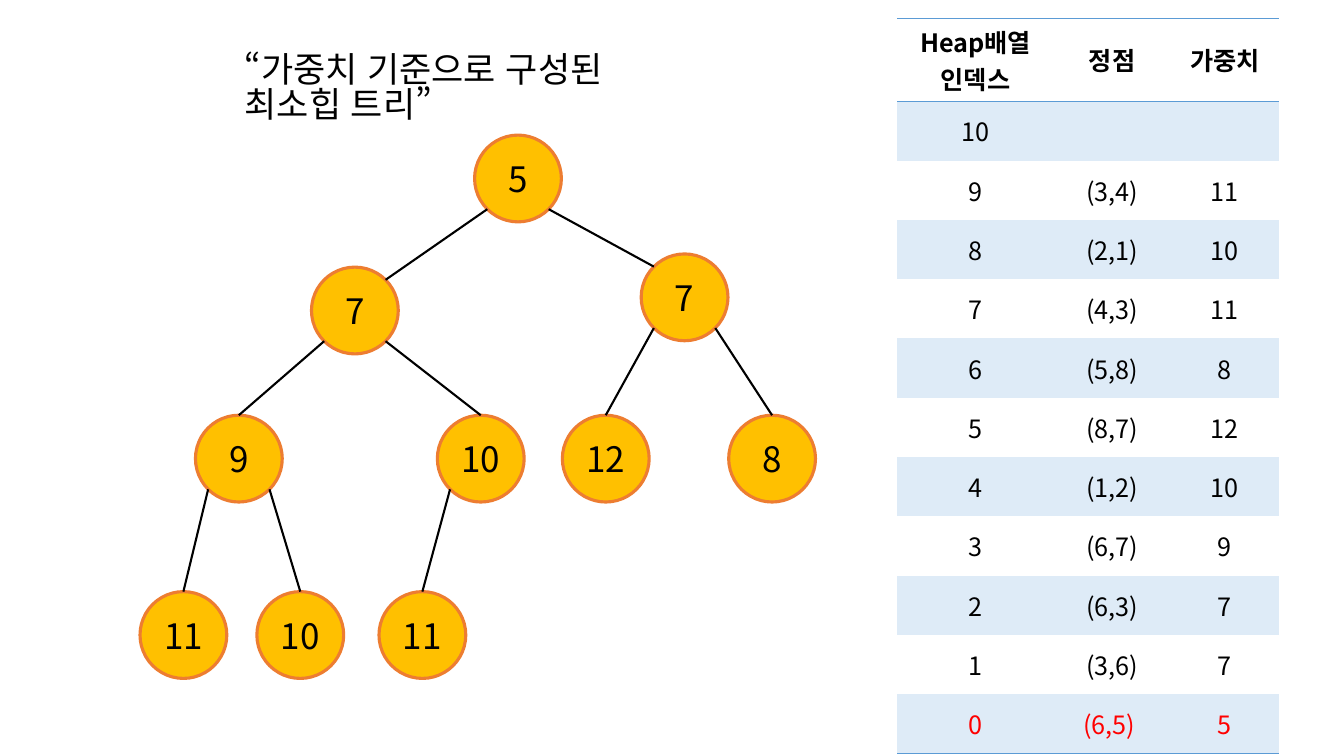
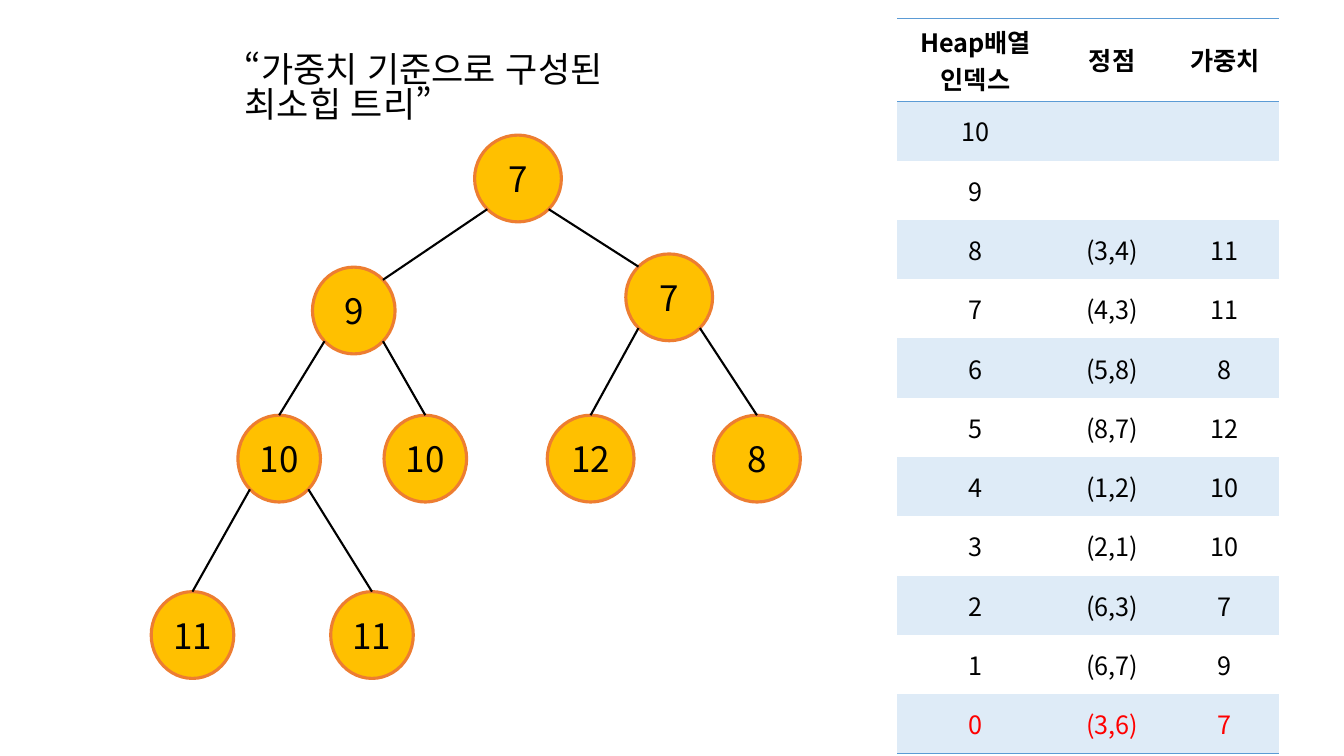
"""Builds two slides that show a minimum heap as a tree and as an array."""
from lxml import etree
from pptx import Presentation
from pptx.dml.color import RGBColor
from pptx.enum import lang, shapes, text
from pptx.oxml import ns
from pptx.util import Pt

FONT = "Noto Sans CJK KR"
BLACK = RGBColor(0x00, 0x00, 0x00)
RED = RGBColor(0xFF, 0x00, 0x00)
BLUE = RGBColor(0x5B, 0x9B, 0xD5)
PALE_BLUE = RGBColor(0xDE, 0xEB, 0xF7)
GOLD = RGBColor(0xFF, 0xC0, 0x00)
ORANGE = RGBColor(0xED, 0x7D, 0x31)
NO_STYLE = "{2D5ABB26-0587-4C30-8999-92F81FD0307C}"

TITLE = "“가중치 기준으로 구성된 최소힙 트리”"
HEADERS = ["Heap배열\n인덱스", "정점", "가중치"]
COLUMN_WIDTHS = [111.6, 83.5, 77.8]
HEADER_HEIGHT, ROW_HEIGHT = 50.4, 42.35
LAST_INDEX = 10

NODE_HEIGHT = 62
NODE_TOPS = [96.5, 190.8, 181.4] + [296.6] * 4 + [422.6] * 3
DIAGONAL = 0.5 ** 0.5 / 2

# vertex, weight, node centre, node width
HEAPS = [
    [
        ("(6,5) ", 5, 370, 62),
        ("(3,6)", 7, 253.5, 62),
        ("(6,3)", 7, 489, 62),
        ("(6,7)", 9, 170.6, 62),
        ("(1,2)", 10, 343.4, 62),
        ("(8,7)", 12, 432.7, 62),
        ("(5,8)", 8, 551.5, 62),
        ("(4,3)", 11, 131, 62),
        ("(2,1)", 10, 214.5, 62),
        ("(3,4)", 11, 301.7, 62),
    ],
    [
        ("(3,6)", 7, 370, 62),
        ("(6,7)", 9, 252.7, 59),
        ("(6,3)", 7, 478, 62),
        ("(2,1)", 10, 199.4, 59),
        ("(1,2)", 10, 303.8, 59),
        ("(8,7)", 12, 421.9, 62),
        ("(5,8)", 8, 540.7, 62),
        ("(4,3)", 11, 137.5, 59),
        ("(3,4)", 11, 265.7, 59),
    ],
]


def style_text(frame, size, color=BLACK, bold=False, align=text.PP_ALIGN.CENTER):
    for para in frame.paragraphs:
        para.alignment = align
        for span in para.runs:
            font = span.font
            font.size, font.bold, font.name = Pt(size), bold, FONT
            font.color.rgb = color
            font.language_id = lang.MSO_LANGUAGE_ID.KOREAN
            east_asian = etree.SubElement(font._element, ns.qn("a:ea"))
            east_asian.set("typeface", FONT)


def add_title(page):
    box = page.shapes.add_textbox(Pt(167.8), Pt(35.3), Pt(330), Pt(37.4))
    frame = box.text_frame
    frame.text = TITLE
    frame.word_wrap = True
    frame.auto_size = text.MSO_AUTO_SIZE.SHAPE_TO_FIT_TEXT
    frame.paragraphs[0].line_spacing = 0.83
    style_text(frame, 25, align=text.PP_ALIGN.LEFT)


def border_cell(cell, sides):
    properties = cell._tc.get_or_add_tcPr()
    for position, side in enumerate(sides):
        line = etree.Element(ns.qn("a:" + side), w=str(Pt(1)))
        fill = etree.SubElement(line, ns.qn("a:solidFill"))
        etree.SubElement(fill, ns.qn("a:srgbClr"), val=str(BLUE))
        properties.insert(position, line)


def add_array(page, heap):
    rows = [HEADERS]
    for index in range(LAST_INDEX, -1, -1):
        vertex, weight = heap[index][:2] if index < len(heap) else ("", "")
        rows.append([str(index), vertex, str(weight)])
    height = HEADER_HEIGHT + ROW_HEIGHT * (len(rows) - 1)
    holder = page.shapes.add_table(len(rows), len(HEADERS), Pt(641), Pt(13),
                                   Pt(sum(COLUMN_WIDTHS)), Pt(height))
    next(holder.element.iter(ns.qn("a:tableStyleId"))).text = NO_STYLE
    table = holder.table
    for column, width in zip(table.columns, COLUMN_WIDTHS):
        column.width = Pt(width)
    for number, values in enumerate(rows):
        header, root = number == 0, number == len(rows) - 1
        table.rows[number].height = Pt(HEADER_HEIGHT if header else ROW_HEIGHT)
        for column, value in enumerate(values):
            cell = table.cell(number, column)
            cell.text = value
            cell.vertical_anchor = text.MSO_ANCHOR.MIDDLE
            style_text(cell.text_frame, 18, RED if root else BLACK, header)
            if number % 2:
                cell.fill.solid()
                cell.fill.fore_color.rgb = PALE_BLUE
            else:
                cell.fill.background()
            if header:
                border_cell(cell, ["lnT", "lnB"])
            elif root:
                border_cell(cell, ["lnB"])


def add_node(page, weight, center, width, top):
    node = page.shapes.add_shape(shapes.MSO_SHAPE.OVAL, Pt(center - width / 2),
                                 Pt(top), Pt(width), Pt(NODE_HEIGHT))
    node.shadow.inherit = False
    node.fill.solid()
    node.fill.fore_color.rgb = GOLD
    node.line.color.rgb = ORANGE
    node.line.width = Pt(2.25)
    frame = node.text_frame
    frame.text = str(weight)
    frame.word_wrap = False
    frame.vertical_anchor = text.MSO_ANCHOR.MIDDLE
    style_text(frame, 25)
    return node


def rim_point(node, across, down):
    return (int(node.left + node.width * (0.5 + across * DIAGONAL)),
            int(node.top + node.height * (0.5 + down * DIAGONAL)))


def add_edge(page, parent, child, side, from_root):
    edge = page.shapes.add_connector(shapes.MSO_CONNECTOR.STRAIGHT,
                                     *rim_point(parent, side, 1),
                                     *rim_point(child, -side, -1))
    if not from_root:
        edge.end_connect(child, 0)
    edge.line.color.rgb = BLACK
    edge.line.width = Pt(1.5)
    etree.SubElement(edge._element.spPr, ns.qn("a:effectLst"))


def add_tree(page, heap):
    nodes = [add_node(page, *entry[1:], top) for entry, top in zip(heap, NODE_TOPS)]
    for index in range(1, len(nodes)):
        parent = (index - 1) // 2
        side = -1 if index % 2 else 1
        add_edge(page, nodes[parent], nodes[index], side, parent == 0)


def main():
    deck = Presentation()
    deck.slide_width, deck.slide_height = Pt(960), Pt(540)
    for heap in HEAPS:
        page = deck.slides.add_slide(deck.slide_layouts[6])
        add_array(page, heap)
        add_title(page)
        add_tree(page, heap)
    deck.save("out.pptx")


if __name__ == "__main__":
    main()
